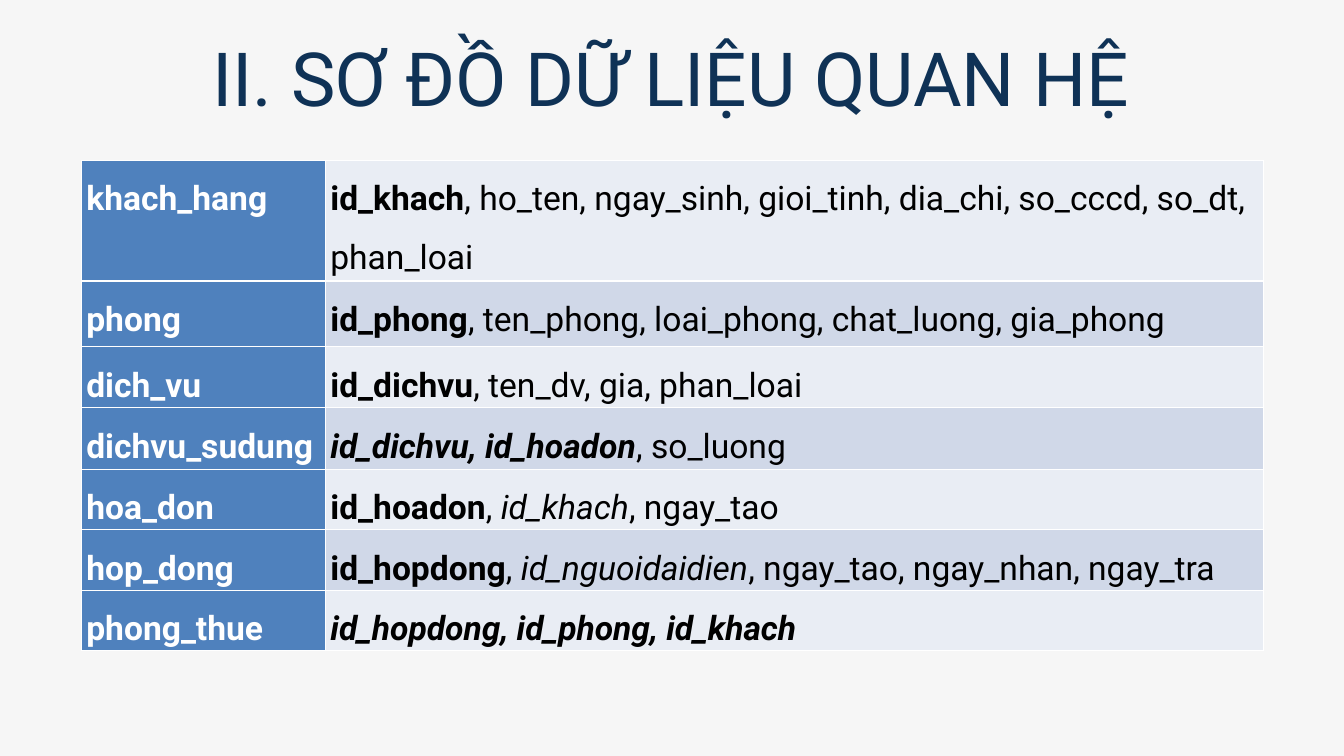
from lxml import etree
from pptx import Presentation
from pptx.dml.color import RGBColor
from pptx.enum.text import MSO_AUTO_SIZE, PP_ALIGN
from pptx.oxml.ns import qn
from pptx.util import Pt

CENTER = PP_ALIGN.CENTER
GROW_TO_TEXT = MSO_AUTO_SIZE.SHAPE_TO_FIT_TEXT

FONT = "Roboto"
NAVY, BLUE, WHITE, BLACK = "0F3256", "4F81BD", "FFFFFF", "000000"
BACKGROUND = "F6F6F6"
BANDS = ("E9EDF4", "D0D8E8")

COLUMN_WIDTHS = (261.5, 1004.5)
ROW_HEIGHTS = (127.5, 70.5, 60, 66, 60, 60, 60)

# Relation name, then its attributes as (text, style): b = primary key, i = foreign key
RELATIONS = [
    ("khach_hang", [("id_khach", "b"),
                    (", ho_ten, ngay_sinh, gioi_tinh, dia_chi, so_cccd, so_dt, phan_loai", "")]),
    ("phong", [("id_phong", "b"), (", ten_phong, loai_phong, chat_luong, gia_phong", "")]),
    ("dich_vu", [("id_dichvu", "b"), (", ten_dv, gia, phan_loai", "")]),
    ("dichvu_sudung", [("id_dichvu, id_hoadon", "bi"), (", so_luong", "")]),
    ("hoa_don", [("id_hoadon", "b"), (", ", ""), ("id_khach", "i"), (", ngay_tao", "")]),
    ("hop_dong", [("id_hopdong", "b"), (", ", ""), ("id_nguoidaidien", "i"),
                  (", ngay_tao, ngay_nhan, ngay_tra", "")]),
    ("phong_thue", [("id_hopdong, id_phong, id_khach", "bi")]),
]


def color(hex_value):
    return RGBColor.from_string(hex_value)


def add_run(paragraph, text, size, hex_value, style=""):
    run = paragraph.add_run()
    run.text = text
    run.font.name = FONT
    run.font.size = Pt(size)
    run.font.bold = "b" in style
    run.font.italic = "i" in style
    run.font.color.rgb = color(hex_value)


def add_title(slide, text):
    box = slide.shapes.add_textbox(Pt(120), Pt(26.5), Pt(1199), Pt(102))
    frame = box.text_frame
    frame.word_wrap = True
    frame.auto_size = GROW_TO_TEXT
    frame.margin_left = frame.margin_right = frame.margin_top = frame.margin_bottom = 0
    paragraph = frame.paragraphs[0]
    paragraph.alignment = CENTER
    paragraph.line_spacing = Pt(104)
    add_run(paragraph, text, 80, NAVY)


def set_borders(cell, top, bottom):
    """Draw white cell borders; must run before the cell fill is set."""
    properties = cell._tc.get_or_add_tcPr()
    for side, width in (("L", 1), ("R", 1), ("T", top), ("B", bottom)):
        line = etree.SubElement(properties, qn(f"a:ln{side}"), w=str(Pt(width)))
        fill = etree.SubElement(line, qn("a:solidFill"))
        etree.SubElement(fill, qn("a:srgbClr"), val=WHITE)


def fill_cell(cell, runs, text_color, fill_color, top, bottom):
    set_borders(cell, top, bottom)
    cell.fill.solid()
    cell.fill.fore_color.rgb = color(fill_color)
    cell.margin_left = cell.margin_right = Pt(5)
    cell.margin_top = cell.margin_bottom = 0
    paragraph = cell.text_frame.paragraphs[0]
    paragraph.line_spacing = 1.5
    paragraph.space_after = Pt(8)
    for text, style in runs:
        add_run(paragraph, text, 36, text_color, style)


def add_relation_table(slide):
    frame = slide.shapes.add_table(len(RELATIONS), len(COLUMN_WIDTHS), Pt(87.5), Pt(171.5),
                                   Pt(sum(COLUMN_WIDTHS)), Pt(sum(ROW_HEIGHTS)))
    table = frame.table
    table.first_row = table.horz_banding = False
    for column, width in zip(table.columns, COLUMN_WIDTHS):
        column.width = Pt(width)
    for index, (name, attributes) in enumerate(RELATIONS):
        table.rows[index].height = Pt(ROW_HEIGHTS[index])
        top = 3 if index == 1 else 1
        bottom = 3 if index == 0 else 1
        fill_cell(table.cell(index, 0), [(name, "b")], WHITE, BLUE, top, bottom)
        fill_cell(table.cell(index, 1), attributes, BLACK, BANDS[index % 2], top, bottom)


def main():
    presentation = Presentation()
    presentation.slide_width = Pt(1440)
    presentation.slide_height = Pt(810)
    slide = presentation.slides.add_slide(presentation.slide_layouts[6])
    slide.background.fill.solid()
    slide.background.fill.fore_color.rgb = color(BACKGROUND)
    add_title(slide, "II. SƠ ĐỒ DỮ LIỆU QUAN HỆ")
    add_relation_table(slide)
    presentation.save("out.pptx")


if __name__ == "__main__":
    main()
